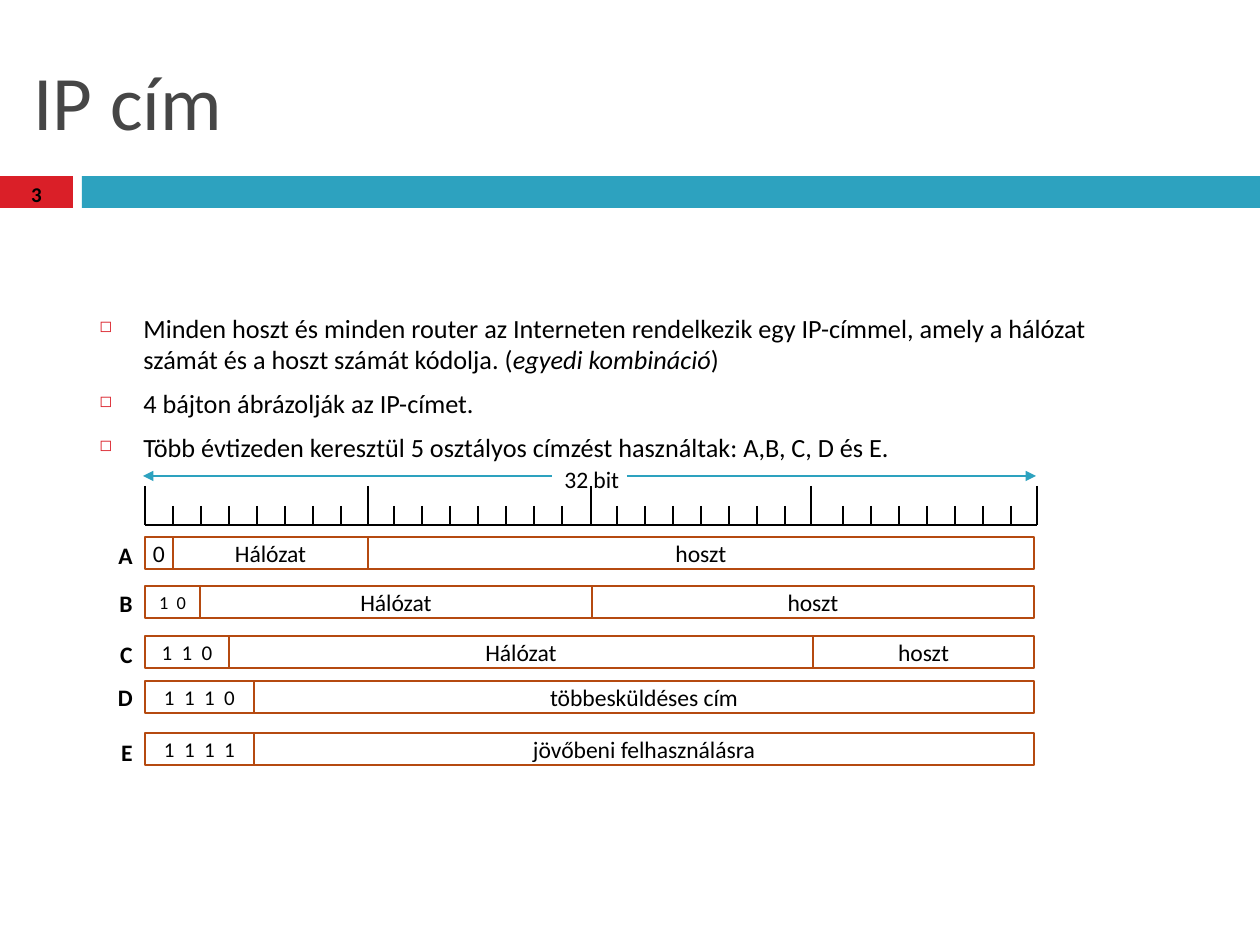
from lxml import etree
from pptx import Presentation
from pptx import util as u
from pptx.dml.color import RGBColor
from pptx.enum import shapes, text
from pptx.oxml import ns

SCALE = 7257  # EMU in one px (126 px to the inch)
FONT = "Calibri"
BLACK = RGBColor(0x00, 0x00, 0x00)
GREY = RGBColor(0x46, 0x46, 0x46)
RED = RGBColor(0xDA, 0x1F, 0x28)
TEAL = RGBColor(0x2D, 0xA2, 0xBF)
BROWN = RGBColor(0xB5, 0x4A, 0x10)

deck = Presentation()
deck.slide_width, deck.slide_height = u.Inches(10), u.Inches(7.5)
page = deck.slides.add_slide(deck.slide_layouts[5])


def add_box(left, top, width, height, words="", size=13.5, bold=False,
            align=text.PP_ALIGN.CENTER, fill=None, line=None, wrap=True):
    """Rectangle when it has a fill or a line, otherwise a text box."""
    place = [n * SCALE for n in (left, top, width, height)]
    if fill is None and line is None:
        box = page.shapes.add_textbox(*place)
    else:
        box = page.shapes.add_shape(shapes.MSO_SHAPE.RECTANGLE, *place)
        box.shadow.inherit = False
        if fill is None:
            box.fill.background()
        else:
            box.fill.solid()
            box.fill.fore_color.rgb = fill
        if line is None:
            box.line.fill.background()
        else:
            box.line.color.rgb = line
            box.line.width = u.Pt(1.5)
        box.text_frame.margin_left = box.text_frame.margin_right = 0
        box.text_frame.vertical_anchor = text.MSO_ANCHOR.MIDDLE
    box.text_frame.word_wrap = wrap
    if words:
        para = box.text_frame.paragraphs[0]
        para.text = words
        para.alignment = align
        font = para.runs[0].font
        font.name, font.size, font.bold = FONT, u.Pt(size), bold
        font.color.rgb = BLACK
    return box


def add_line(x1, y1, x2, y2, color=BLACK, width=1.5, arrow=False):
    line = page.shapes.add_connector(
        shapes.MSO_CONNECTOR.STRAIGHT, *[n * SCALE for n in (x1, y1, x2, y2)])
    line.line.color.rgb = color
    line.line.width = u.Pt(width)
    if arrow:
        etree.SubElement(line.line._get_or_add_ln(), ns.qn("a:tailEnd"), type="triangle")
    etree.SubElement(line._element.spPr, ns.qn("a:effectLst"))


# Header band, slide number and title
add_box(0, 176, 73, 32, fill=RED)
add_box(82, 176, 1178, 32, fill=TEAL)
number = add_box(0, 173, 73, 42, "3", size=12, bold=True)
number.text_frame.vertical_anchor = text.MSO_ANCHOR.MIDDLE

title = page.shapes.title
title.left, title.top, title.width, title.height = [n * SCALE for n in (21, 32, 1218, 136)]
title.text_frame.text = "IP cím"
title.text_frame.vertical_anchor = text.MSO_ANCHOR.MIDDLE
para = title.text_frame.paragraphs[0]
para.alignment = text.PP_ALIGN.LEFT
font = para.runs[0].font
font.name, font.size, font.color.rgb = FONT, u.Pt(44), GREY

# Bullets, each a list of (words, italic) spans
bullets = [
    [("Minden hoszt és minden router az Interneten rendelkezik egy IP-címmel, "
      "amely a hálózat számát és a hoszt számát kódolja. (", False),
     ("egyedi kombináció", True), (")", False)],
    [("4 bájton ábrázolják az IP-címet.", False)],
    [("Több évtizeden keresztül 5 osztályos címzést használtak: A,B, C, D és E.", False)],
]
body = add_box(87, 306, 1086, 173).text_frame
for index, spans in enumerate(bullets):
    para = body.add_paragraph() if index else body.paragraphs[0]
    para.space_before = u.Pt(7)
    props = para._p.get_or_add_pPr()
    props.set("marL", str(44 * SCALE))
    props.set("indent", str(-44 * SCALE))
    color = etree.SubElement(props, ns.qn("a:buClr"))
    etree.SubElement(color, ns.qn("a:srgbClr"), val=str(RED))
    etree.SubElement(props, ns.qn("a:buSzPct"), val="60000")
    etree.SubElement(props, ns.qn("a:buChar"), char="◻")
    for words, italic in spans:
        span = para.add_run()
        span.text = words
        span.font.name, span.font.size, span.font.italic = FONT, u.Pt(15), italic
        span.font.color.rgb = BLACK

# Bit ruler: a long tick at each octet, seven short ones inside it
BASE = 525
add_line(145, BASE, 1037, BASE)
for octet, first_bit in ((145, 173), (368, 394), (591, 617), (811, 843)):
    add_line(octet, 486, octet, BASE)
    for bit in range(7):
        x = first_bit + 28 * bit
        add_line(x, 506, x, BASE)
add_line(1037, 486, 1037, BASE)

# Width of the address
add_box(552, 459, 83, 42, "32 bit", align=text.PP_ALIGN.LEFT, wrap=False)
add_line(627, 476, 1036, 476, TEAL, 0.79, arrow=True)
add_line(552, 476, 143, 476, TEAL, 0.79, arrow=True)

# Address classes: name, label top, field top, prefix size, field edges, fields
classes = [
    ("A", 535, 537, 13.5, (145, 173, 368, 1034), ("0", "Hálózat", "hoszt")),
    ("B", 583, 586, 10.5, (145, 200, 592, 1034), ("1  0", "Hálózat", "hoszt")),
    ("C", 634, 636, 12, (145, 229, 813, 1034), ("1  1  0", "Hálózat", "hoszt")),
    ("D", 677, 681, 12, (145, 254, 1034), ("1  1  1  0", "többesküldéses cím")),
    ("E", 732, 733, 12, (145, 254, 1034), ("1  1  1  1", "jövőbeni felhasználásra")),
]
for name, label_top, top, prefix_size, edges, fields in classes:
    for index, words in enumerate(fields):
        left, right = edges[index:index + 2]
        add_box(left, top, right - left, 32, words,
                size=13.5 if index else prefix_size, line=BROWN)
    add_box(0, label_top, 145, 42, name, bold=True, align=text.PP_ALIGN.RIGHT)

deck.save("out.pptx")
